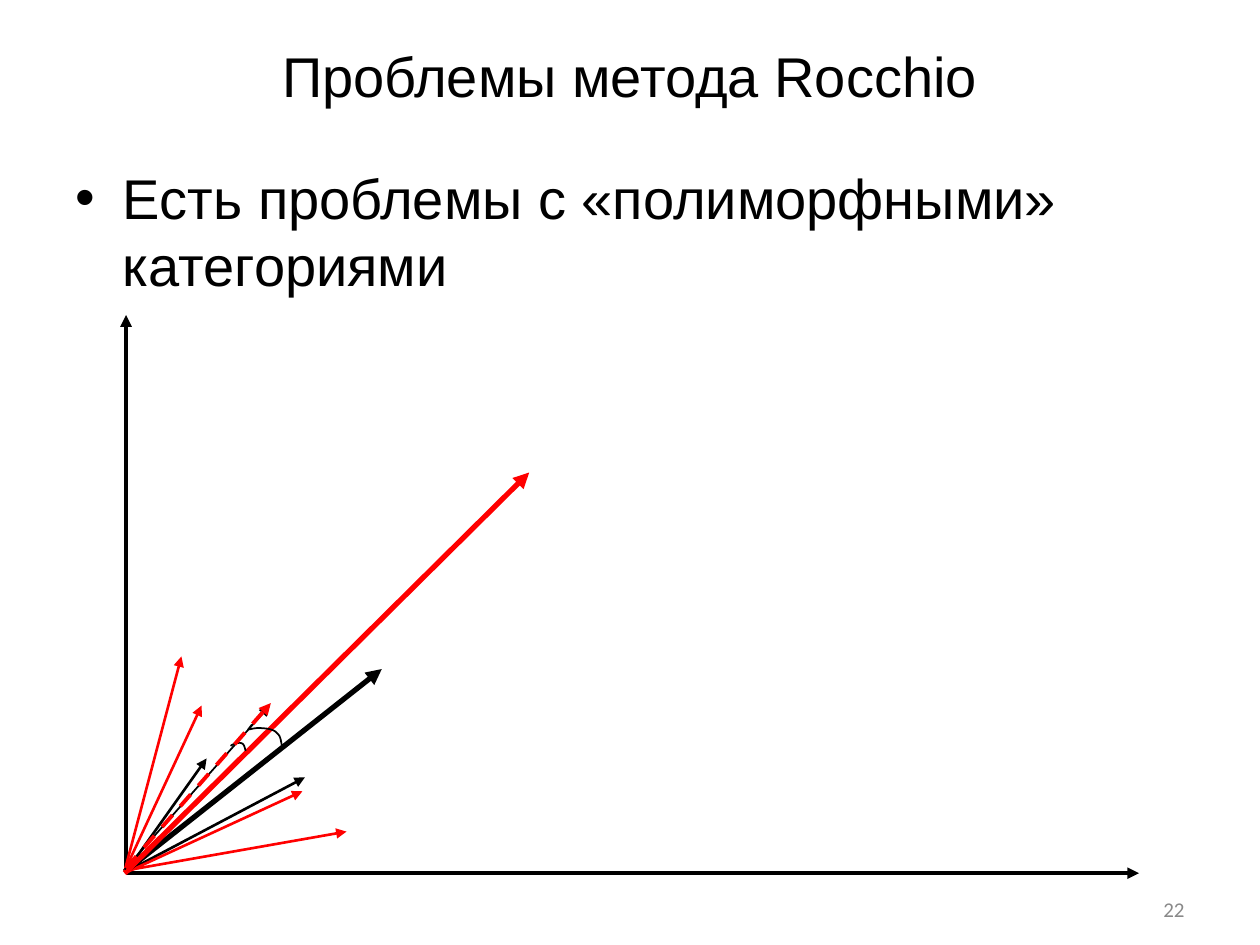
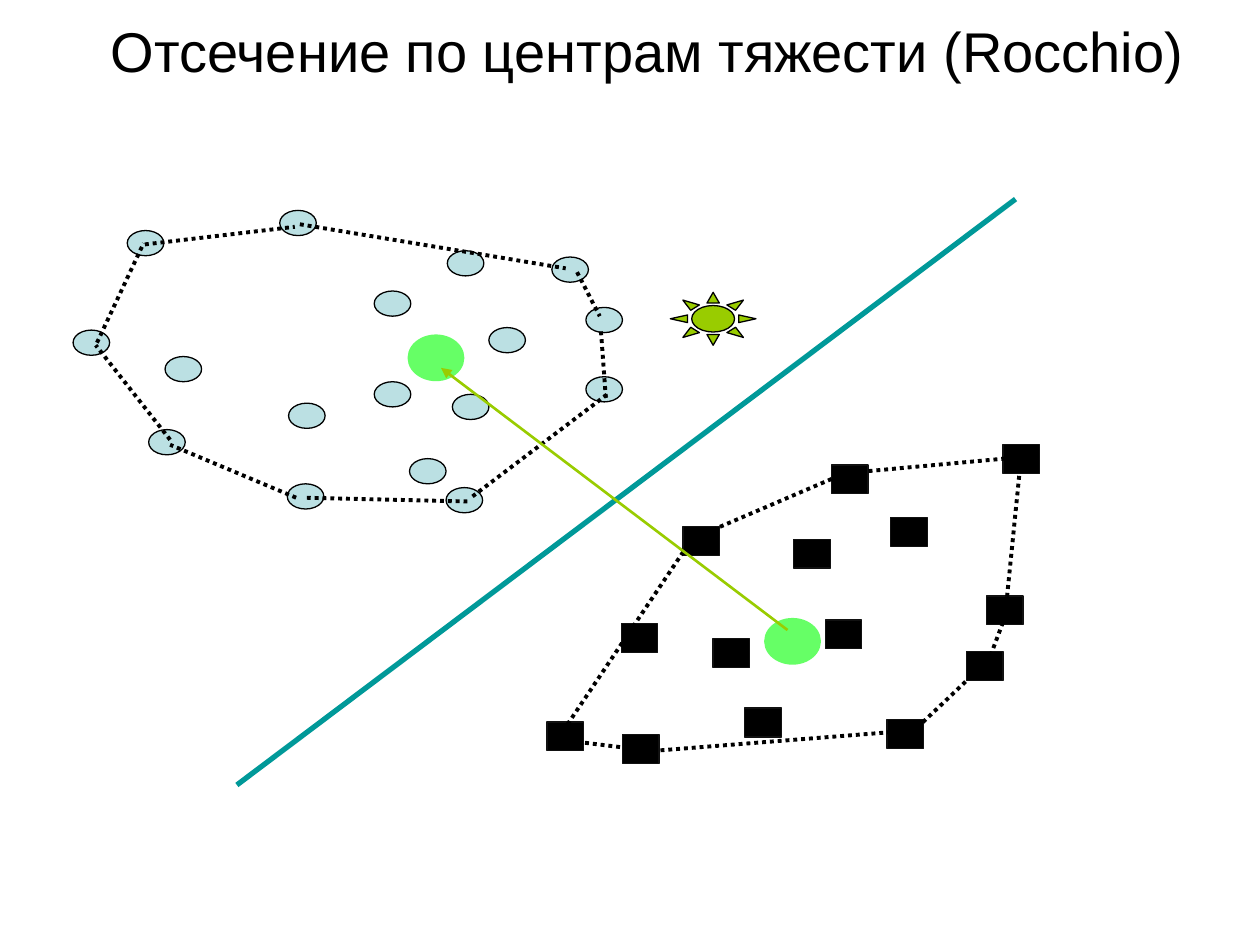
"""Build two slides on the limits of the Rocchio method."""
from dataclasses import dataclass

from lxml.etree import SubElement
from pptx import Presentation
from pptx.dml.color import RGBColor
from pptx.enum.dml import MSO_LINE
from pptx.enum.shapes import MSO_CONNECTOR, MSO_SHAPE
from pptx.enum.text import MSO_ANCHOR, PP_ALIGN
from pptx.oxml.ns import qn
from pptx.util import Cm, Pt


@dataclass(frozen=True)
class Theme:
    black: RGBColor = RGBColor.from_string("000000")
    edge: RGBColor = RGBColor.from_string("111111")
    gray: RGBColor = RGBColor.from_string("898989")
    red: RGBColor = RGBColor.from_string("FF0000")
    pale: RGBColor = RGBColor.from_string("BBE0E3")
    teal: RGBColor = RGBColor.from_string("009999")
    green: RGBColor = RGBColor.from_string("66FF66")
    lime: RGBColor = RGBColor.from_string("99CC00")
    face: str = "Arial"
    foot: str = "Calibri"
    big: int = 32
    small: int = 12
    inch: float = 2.54


theme = Theme()


def write(slide, text, box, align, anchor, size=theme.big, face=theme.face, color=theme.black):
    frame = slide.shapes.add_textbox(*[Cm(v * theme.inch) for v in box]).text_frame
    frame.word_wrap = True
    frame.vertical_anchor = anchor
    para = frame.paragraphs[0]
    para.alignment = align
    run = para.add_run()
    run.text = text
    run.font.size = Pt(size)
    run.font.name = face
    run.font.color.rgb = color
    return para


def link(slide, ends, color, width, dash=None, arrow=False):
    line = slide.shapes.add_connector(
        MSO_CONNECTOR.STRAIGHT, *[Cm(v * theme.inch) for v in ends])
    line.line.color.rgb = color
    line.line.width = Pt(width)
    if dash:
        line.line.dash_style = dash
    prop = line._element.spPr
    if arrow:
        SubElement(prop.get_or_add_ln(), qn("a:tailEnd"), type="triangle")
    SubElement(prop, qn("a:effectLst"))


deck = Presentation()
deck.slide_width, deck.slide_height = Cm(25.4), Cm(19.05)
blank = deck.slide_layouts[6]

slide = deck.slides.add_slide(blank)
write(slide, "22", (7.17, 7.08, 2.33, 0.27), PP_ALIGN.RIGHT, MSO_ANCHOR.MIDDLE,
      theme.small, theme.foot, theme.gray)
write(slide, "Проблемы метода Rocchio", (0.5, 0.3, 9, 0.61), PP_ALIGN.CENTER, MSO_ANCHOR.BOTTOM)
para = write(slide, "Есть проблемы с «полиморфными» категориями",
             (0.5, 1.25, 9, 5.92), PP_ALIGN.LEFT, MSO_ANCHOR.TOP)
para.space_before = Pt(8)
prop = para._p.get_or_add_pPr()
prop.set("marL", str(Cm(0.96)))
prop.set("indent", str(-Cm(0.96)))
SubElement(prop, qn("a:buFont"), typeface=theme.face)
SubElement(prop, qn("a:buChar"), char="•")

for ends, color, width in [
    ((1, 6.92, 1, 2.5), theme.black, 2.25),
    ((1, 6.93, 9.04, 6.93), theme.black, 2.25),
    ((0.99, 6.91, 1.44, 5.21), theme.red, 1.5),
    ((0.99, 6.91, 1.6, 5.6), theme.red, 1.5),
    ((1, 6.92, 1.64, 6.02), theme.black, 1.5),
    ((1, 6.92, 2.42, 6.17), theme.black, 1.5),
    ((0.99, 6.93, 2.4, 6.28), theme.red, 1.5),
    ((0.99, 6.91, 2.75, 6.6), theme.red, 1.5),
    ((0.99, 6.92, 3.03, 5.31), theme.black, 3),
    ((0.99, 6.93, 4.2, 3.75), theme.red, 3),
    ((0.99, 6.9, 2.14, 5.6), theme.black, 1),
]:
    link(slide, ends, color, width, arrow=True)

steps = 8
for start, bends in [
    ([(1.83, 5.92)],
     [[(1.86, 5.9), (1.9, 5.89), (1.92, 5.9)],
      [(1.94, 5.91), (1.94, 5.93), (1.95, 5.96)]]),
    ([(2, 5.75), (1.97, 5.79)],
     [[(1.98, 5.79), (2.05, 5.77), (2.08, 5.78)],
      [(2.12, 5.78), (2.18, 5.79), (2.2, 5.82)],
      [(2.23, 5.84), (2.23, 5.89), (2.24, 5.93)]]),
]:
    dots = list(start)
    for bend in bends:
        knots = [dots[-1], *bend]
        for step in range(1, steps + 1):
            t = step / steps
            parts = ((1 - t) ** 3, 3 * t * (1 - t) ** 2, 3 * t * t * (1 - t), t ** 3)
            dots.append(tuple(sum(p * k[i] for p, k in zip(parts, knots)) for i in (0, 1)))
    dots = [(Cm(x * theme.inch), Cm(y * theme.inch)) for x, y in dots]
    pen = slide.shapes.build_freeform(*dots[0])
    pen.add_line_segments(dots[1:], close=False)
    arc = pen.convert_to_shape()
    arc.shadow.inherit = False
    arc.fill.background()
    arc.line.color.rgb = theme.black
    arc.line.width = Pt(1)
link(slide, (1, 6.89, 2.15, 5.58), theme.red, 2.25, MSO_LINE.DASH, True)

slide = deck.slides.add_slide(blank)
write(slide, "Отсечение по центрам тяжести (Rocchio)", (0.58, 0, 9.12, 0.79),
      PP_ALIGN.CENTER, MSO_ANCHOR.MIDDLE)

rounds = [
    (1.01, 1.83), (0.58, 2.62), (1.31, 2.83), (3.88, 2.6), (2.97, 2.31), (1.18, 3.41),
    (4.65, 2.44), (3.59, 3.13), (2.29, 3.2), (2.28, 3.84), (3.55, 1.99), (3.54, 3.87),
    (4.38, 2.04), (2.97, 3.03), (3.25, 3.64), (4.65, 2.99), (2.22, 1.67),
]
blocks = [
    (5.42, 4.18), (7.07, 4.11), (4.93, 4.95), (4.94, 5.83), (4.34, 5.73), (5.91, 5.62),
    (7.04, 5.71), (6.55, 4.92), (6.6, 3.69), (7.67, 5.17), (6.3, 4.28), (5.66, 5.07),
    (7.83, 4.73), (7.96, 3.53),
]
hulls = [
    (3.75, 3.94, 4.82, 3.13), (2.35, 3.95, 1.35, 3.53), (3.71, 3.98, 2.41, 3.95),
    (1.35, 3.49, 0.76, 2.74), (0.77, 2.72, 1.14, 1.93), (1.15, 1.94, 2.34, 1.8),
    (2.38, 1.78, 4.49, 2.13), (4.58, 2.16, 4.76, 2.51), (4.77, 2.63, 4.81, 3.18),
    (4.47, 5.8, 5.51, 4.25), (5.6, 4.23, 6.72, 3.75), (5.18, 5.96, 7.08, 5.81),
    (4.52, 5.88, 5.09, 5.95), (7.19, 5.86, 7.79, 5.29), (7.84, 5.26, 7.99, 4.86),
    (6.77, 3.75, 8.08, 3.63), (7.98, 4.86, 8.1, 3.67),
]
means = [(3.25, 2.67), (6.08, 4.92)]
marks = [
    (rounds, (0.29, 0.2), MSO_SHAPE.OVAL, theme.pale, theme.black, 0.75),
    (blocks, (0.29, 0.23), MSO_SHAPE.RECTANGLE, theme.black, theme.edge, 0.75),
    (means, (0.42, 0.34), MSO_SHAPE.OVAL, theme.green, theme.green, 2.25),
    ([(5.32, 2.32)], (0.68, 0.42), MSO_SHAPE.SUN, theme.lime, theme.black, 0.75),
]
for spots, size, kind, fill, edge, width in marks:
    if spots is means:
        link(slide, (1.88, 6.23, 8.06, 1.58), theme.teal, 3)
        for ends in hulls:
            link(slide, ends, theme.black, 2.25, MSO_LINE.ROUND_DOT)
    for spot in spots:
        mark = slide.shapes.add_shape(kind, *[Cm(v * theme.inch) for v in spot + size])
        mark.shadow.inherit = False
        mark.fill.solid()
        mark.fill.fore_color.rgb = fill
        mark.line.color.rgb = edge
        mark.line.width = Pt(width)
    if spots is means:
        link(slide, (6.25, 5, 3.5, 2.92), theme.lime, 1.5, arrow=True)

deck.save("out.pptx")
